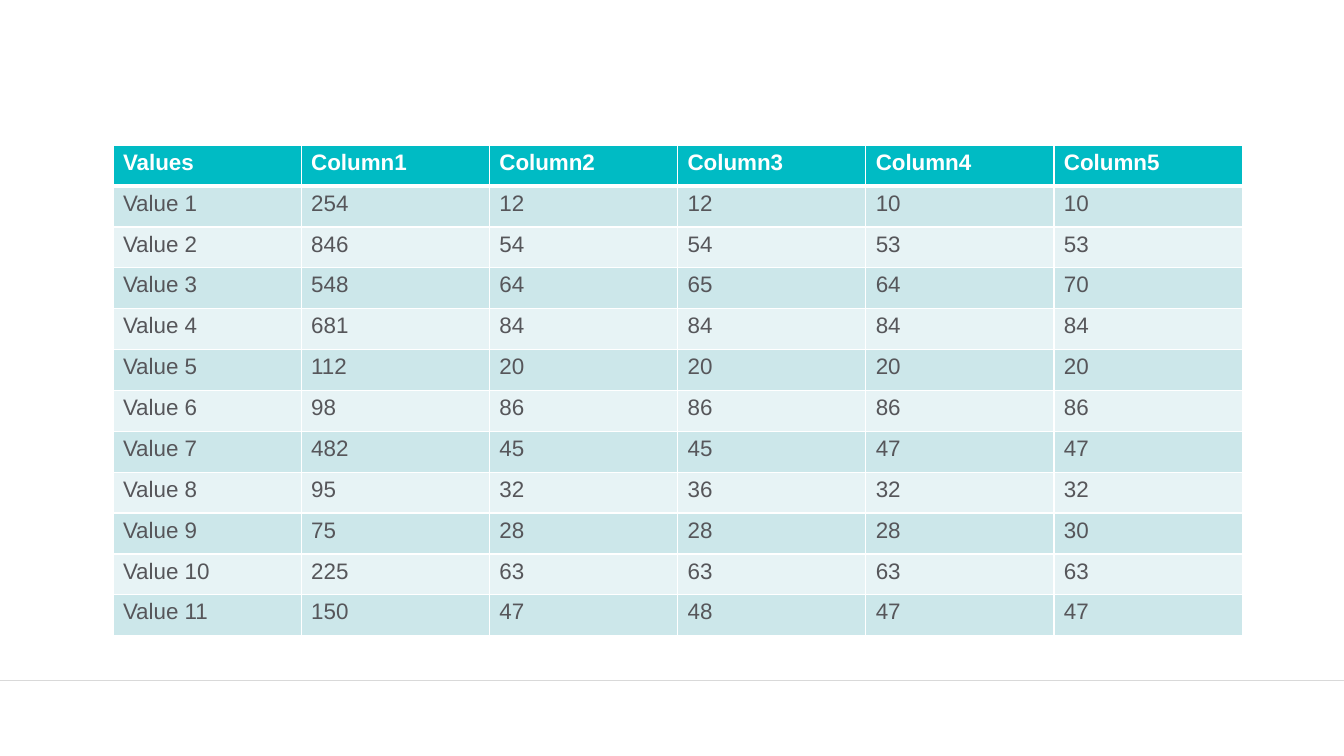
from lxml import etree
from pptx import Presentation
from pptx.dml.color import RGBColor
from pptx.enum.shapes import MSO_CONNECTOR
from pptx.oxml.ns import qn
from pptx.util import Inches, Pt

HEADINGS = ["Values", "Column1", "Column2", "Column3", "Column4", "Column5"]
VALUES = [
    (254, 12, 12, 10, 10),
    (846, 54, 54, 53, 53),
    (548, 64, 65, 64, 70),
    (681, 84, 84, 84, 84),
    (112, 20, 20, 20, 20),
    (98, 86, 86, 86, 86),
    (482, 45, 45, 47, 47),
    (95, 32, 36, 32, 32),
    (75, 28, 28, 28, 30),
    (225, 63, 63, 63, 63),
    (150, 47, 48, 47, 47),
]

WHITE = RGBColor(0xFF, 0xFF, 0xFF)
TEAL = RGBColor(0x00, 0xBB, 0xC4)
DARK_BAND = RGBColor(0xCC, 0xE7, 0xEA)
LIGHT_BAND = RGBColor(0xE7, 0xF3, 0xF5)
GREY_TEXT = RGBColor(0x56, 0x56, 0x5A)
RULE_GREY = RGBColor(0xD9, 0xD9, 0xD9)

SLIDE_WIDTH, SLIDE_HEIGHT = Inches(13.33), Inches(7.5)
TABLE_LEFT, TABLE_TOP = Inches(1.12), Inches(1.44)
TABLE_WIDTH, TABLE_HEIGHT = Inches(11.2), Inches(4.87)
FOOTER_SHARE = 0.9
THIN, THICK = Pt(1), Pt(3)
STRAIGHT = MSO_CONNECTOR.STRAIGHT


def add_footer_rule(slide):
    height = int(SLIDE_HEIGHT * FOOTER_SHARE)
    rule = slide.shapes.add_connector(STRAIGHT, 0, height, SLIDE_WIDTH, height)
    rule.line.color.rgb = RULE_GREY
    rule.line.width = Pt(0.25)
    etree.SubElement(rule._element.spPr, qn("a:effectLst"))


def set_borders(cell, row):
    properties = cell._tc.get_or_add_tcPr()
    top = THICK if row == 1 else THIN
    bottom = THICK if row == 0 else THIN
    for side, width in (("L", THIN), ("R", THIN), ("T", top), ("B", bottom)):
        border = etree.SubElement(properties, qn(f"a:ln{side}"), w=str(width))
        fill = etree.SubElement(border, qn("a:solidFill"))
        etree.SubElement(fill, qn("a:srgbClr"), val=str(WHITE))


def fill_cell(cell, row, text):
    is_header = row == 0
    set_borders(cell, row)
    cell.fill.solid()
    band = DARK_BAND if row % 2 else LIGHT_BAND
    cell.fill.fore_color.rgb = TEAL if is_header else band
    run = cell.text_frame.paragraphs[0].add_run()
    run.text = str(text)
    run.font.name = "Arial"
    run.font.size = Pt(16)
    run.font.bold = is_header
    run.font.color.rgb = WHITE if is_header else GREY_TEXT


def add_values_table(slide):
    rows = [HEADINGS]
    rows += [(f"Value {number}", *values) for number, values in enumerate(VALUES, 1)]
    table = slide.shapes.add_table(
        len(rows), len(HEADINGS), TABLE_LEFT, TABLE_TOP, TABLE_WIDTH, TABLE_HEIGHT
    ).table
    for row, texts in enumerate(rows):
        for column, text in enumerate(texts):
            fill_cell(table.cell(row, column), row, text)


def main():
    """Build a slide with a banded table of values above a footer rule."""
    presentation = Presentation()
    presentation.slide_width = SLIDE_WIDTH
    presentation.slide_height = SLIDE_HEIGHT
    slide = presentation.slides.add_slide(presentation.slide_layouts[6])
    add_footer_rule(slide)
    add_values_table(slide)
    presentation.save("out.pptx")


if __name__ == "__main__":
    main()
